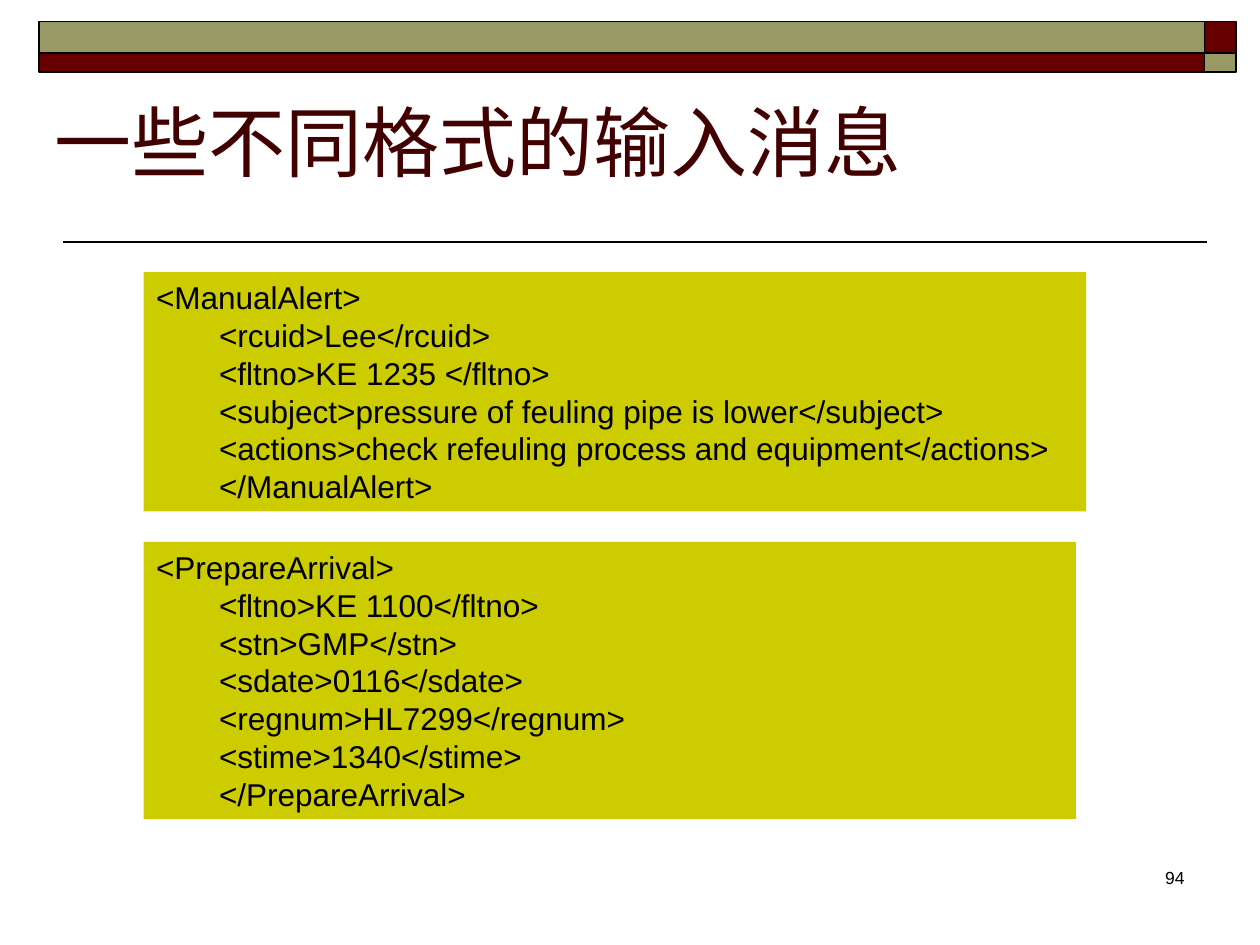
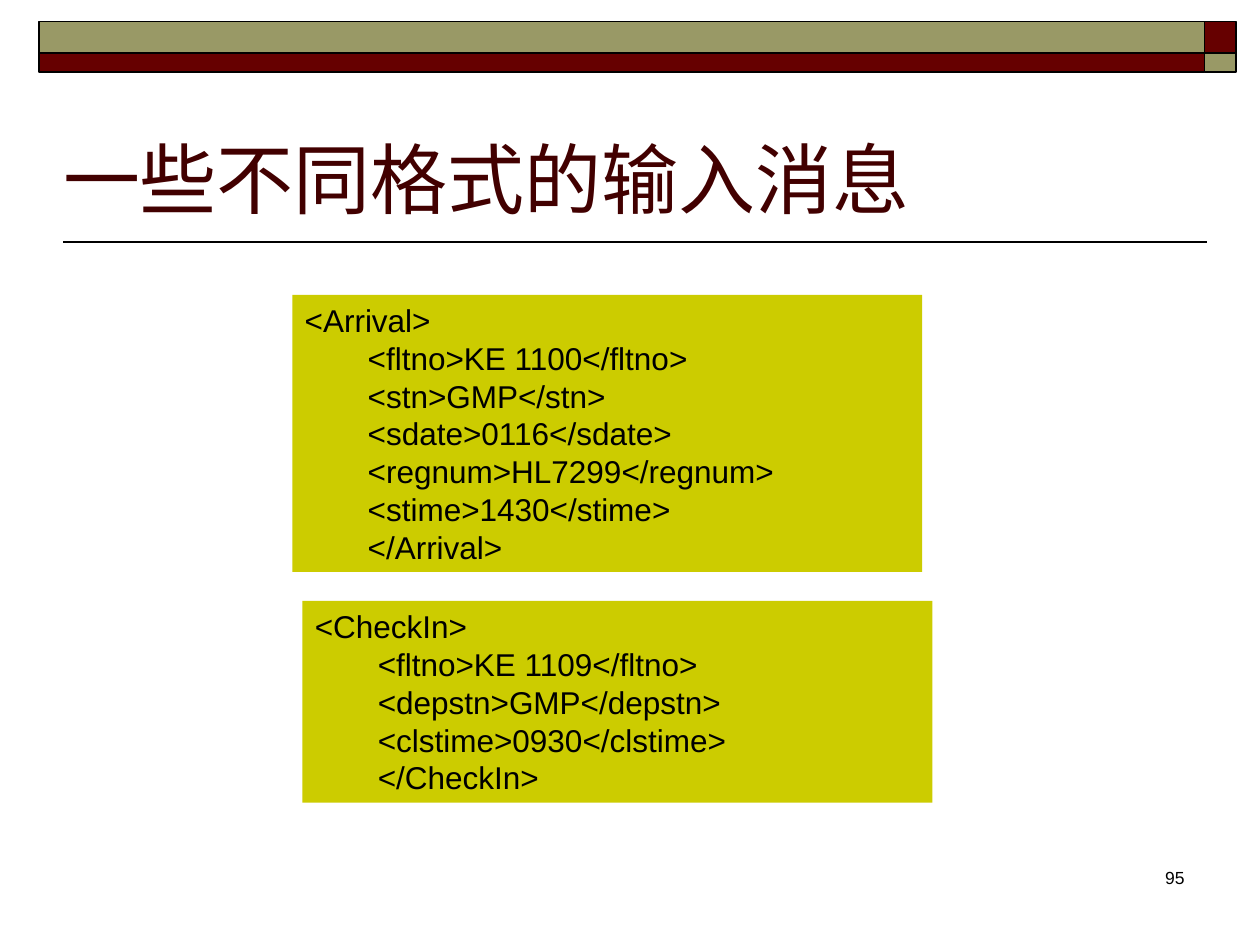
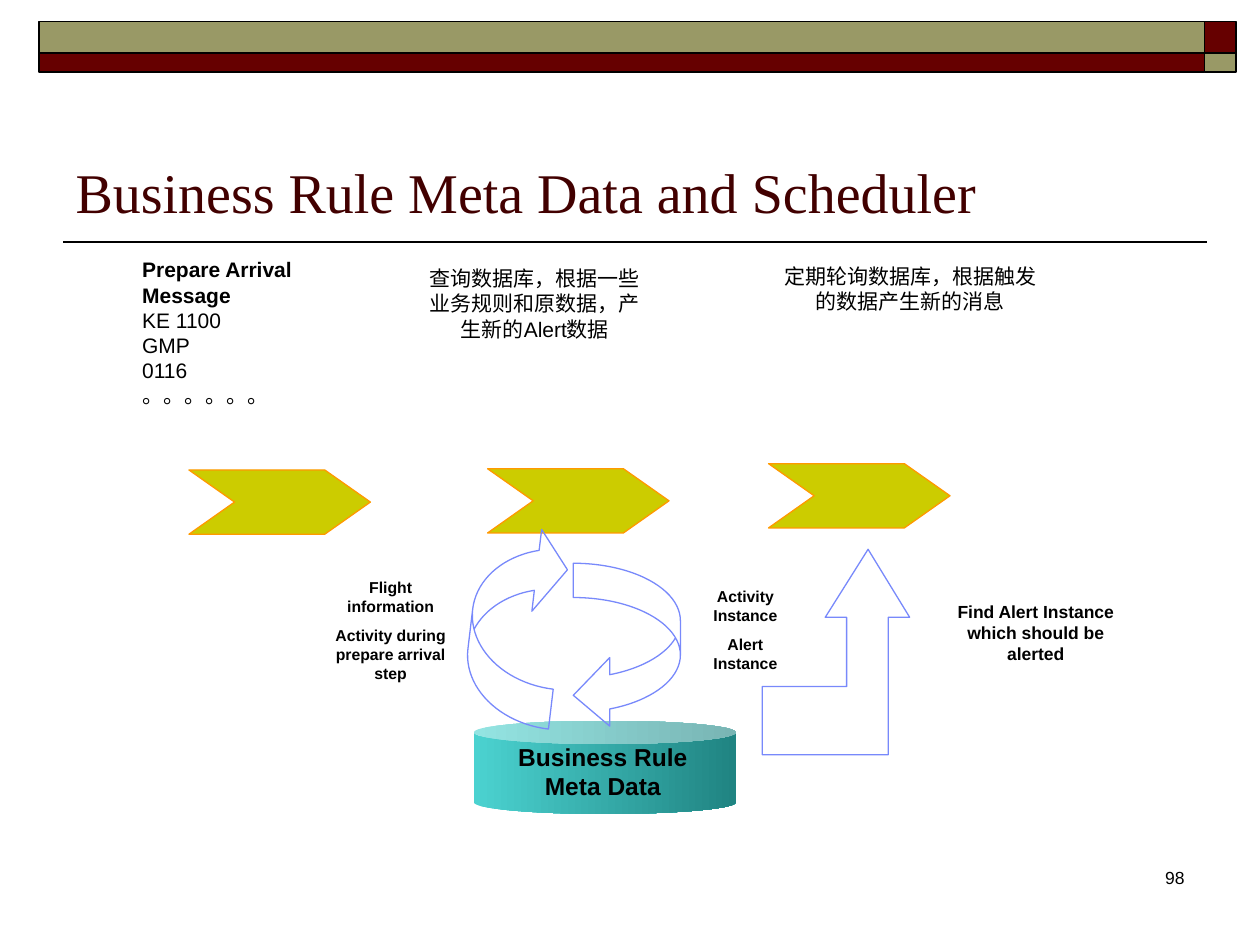
from lxml import etree
from pptx import Presentation
from pptx.dml.color import RGBColor
from pptx.enum.shapes import MSO_CONNECTOR, MSO_SHAPE
from pptx.enum.text import MSO_ANCHOR, MSO_AUTO_SIZE, PP_ALIGN
from pptx.oxml.ns import qn
from pptx.util import Pt

RECT, CAN = MSO_SHAPE.RECTANGLE, MSO_SHAPE.CAN
CHEVRON, CURVE = MSO_SHAPE.CHEVRON, MSO_SHAPE.CURVED_LEFT_ARROW
STRAIGHT = MSO_CONNECTOR.STRAIGHT
LEFT, MID, RIGHT = PP_ALIGN.LEFT, PP_ALIGN.CENTER, PP_ALIGN.RIGHT
TOP, BOTTOM = MSO_ANCHOR.TOP, MSO_ANCHOR.BOTTOM
FIXED = MSO_AUTO_SIZE.NONE

PX = 9144  # 100 px to the inch
BODY, HEAD = "Arial", "Times New Roman"
COLORS = {
    "ink": "000000", "title": "420000", "wine": "660000", "olive": "999966",
    "lime": "CCCC00", "orange": "FF9900", "blue": "7889FB",
    "aqua": "4BD2D0", "teal": "208482",
}


def emu(*sizes):
    return [size * PX for size in sizes]


def rgb(name):
    return RGBColor.from_string(COLORS[name])


class Deck:
    """Holds the shared style and the current slide."""

    def __init__(self):
        self.prs = Presentation()
        self.prs.slide_width, self.prs.slide_height = emu(1000, 750)

    def start(self, title, number, box, size=44, inset=0):
        self.slide = self.prs.slides.add_slide(self.prs.slide_layouts[5])
        self.shapes = self.slide.shapes
        self.frame()
        self.title(title, box, size, inset)
        self.text([str(number)], (742, 683, 208, 50), 10, align=RIGHT)

    def frame(self):
        # Two-tone band with swapped end blocks, and the title rule
        for top, high, long, end in ((17, 25, "olive", "wine"),
                                     (42, 15, "wine", "olive")):
            self.shape(RECT, (31, top, 925, high), long, "ink", 1)
            self.shape(RECT, (956, top, 25, high), end, "ink", 1)
        rule = self.shapes.add_connector(STRAIGHT, *emu(50, 192, 958, 192))
        rule.line.color.rgb = rgb("ink")
        rule.line.width = Pt(1)
        etree.SubElement(rule._element.spPr, qn("a:effectLst"))

    def title(self, words, box, size, inset):
        shape = self.shapes.title
        shape.left, shape.top, shape.width, shape.height = emu(*box)
        self.words(shape, [words], size, font=HEAD, color="title",
                   anchor=BOTTOM, inset=inset)

    def paint(self, shape, fill, line, width):
        shape.shadow.inherit = False
        if fill:
            shape.fill.solid()
            shape.fill.fore_color.rgb = rgb(fill)
        else:
            shape.fill.background()
        if line:
            shape.line.color.rgb = rgb(line)
            shape.line.width = Pt(width)
        else:
            shape.line.fill.background()
        return shape

    def shape(self, kind, box, fill=None, line=None, width=0.75, adj=()):
        shape = self.shapes.add_shape(kind, *emu(*box))
        for i, value in enumerate(adj):
            shape.adjustments[i] = value
        return self.paint(shape, fill, line, width)

    def outline(self, points, line):
        form = self.shapes.build_freeform(*points[0], scale=PX)
        form.add_line_segments(points[1:], close=True)
        return self.paint(form.convert_to_shape(), None, line, 0.75)

    def drum(self, box, start, end):
        drum = self.shape(CAN, box, adj=(0.25,))
        drum.fill.gradient()
        drum.fill.gradient_angle = 0
        for stop, name in zip(drum.fill.gradient_stops, (start, end)):
            stop.color.rgb = rgb(name)

    def text(self, lines, box, size, **style):
        self.words(self.shapes.add_textbox(*emu(*box)), lines, size, **style)

    def code(self, lines, box):
        panel = self.shape(RECT, box, "lime")
        self.words(panel, lines, 18)
        for para in panel.text_frame.paragraphs[1:]:
            props = para._p.get_or_add_pPr()
            props.set("marL", str(50 * PX))
            props.set("indent", "0")

    def words(self, shape, lines, size, bold=0, align=LEFT, gap=0,
              font=BODY, color="ink", anchor=TOP, inset=10):
        # bold counts the leading paragraphs set in bold
        frame = shape.text_frame
        frame.text = "\n".join(lines)
        frame.word_wrap = True
        frame.auto_size = FIXED
        frame.vertical_anchor = anchor
        frame.margin_left = frame.margin_right = inset * PX
        frame.margin_top = frame.margin_bottom = 5 * PX
        for i, para in enumerate(frame.paragraphs):
            para.alignment = align
            para.space_before = Pt(gap if i else 0)
            for run in para.runs:
                run.font.name = font
                run.font.size = Pt(size)
                run.font.bold = i < bold
                run.font.color.rgb = rgb(color)


def main():
    deck = Deck()
    inputs = "一些不同格式的输入消息"
    low = (50, 58, 900, 125)

    # Manual alert and prepare arrival
    deck.start(inputs, 94, (43, 28, 900, 125))
    deck.code(["<ManualAlert>", "<rcuid>Lee</rcuid>",
               "<fltno>KE 1235 </fltno>",
               "<subject>pressure of feuling pipe is lower</subject>",
               "<actions>check refeuling process and equipment</actions>",
               "</ManualAlert>"], (114, 216, 748, 190))
    deck.code(["<PrepareArrival>", "<fltno>KE 1100</fltno>",
               "<stn>GMP</stn>", "<sdate>0116</sdate>",
               "<regnum>HL7299</regnum>", "<stime>1340</stime>",
               "</PrepareArrival>"], (114, 430, 740, 220))

    # Arrival and check-in
    deck.start(inputs, 95, low)
    deck.code(["<Arrival>", "<fltno>KE 1100</fltno>", "<stn>GMP</stn>",
               "<sdate>0116</sdate>", "<regnum>HL7299</regnum>",
               "<stime>1430</stime>", "</Arrival>"], (232, 234, 500, 220))
    deck.code(["<CheckIn>", "<fltno>KE 1109</fltno>",
               "<depstn>GMP</depstn>", "<clstime>0930</clstime>",
               "</CheckIn>"], (240, 477, 500, 160))

    # Rule data and scheduler flow
    deck.start("Business Rule Meta Data and Scheduler", 98, low, 32, 10)
    deck.drum((376, 572, 208, 74), "aqua", "teal")
    deck.text(["Business Rule Meta Data"], (397, 584, 163, 57), 14,
              bold=1, align=MID)
    for left, top in ((150, 373), (387, 372), (610, 368)):
        deck.shape(CHEVRON, (left, top, 144, 51), "lime", "orange",
                   adj=(0.71,))

    # Cycle between the flow and the rule data
    back = deck.shape(CURVE, (374, 415, 71, 160), None, "blue",
                      adj=(0.45, 0.92, 0.34))
    back.rotation = 186.8
    deck.shape(CURVE, (455, 447, 85, 132), None, "blue",
               adj=(0.32, 0.64, 0.34))
    deck.outline([(689, 436), (655, 490), (672, 490), (672, 545),
                  (605, 545), (605, 599), (705, 599), (705, 490),
                  (722, 490)], "blue")

    # Step notes
    deck.text(["Prepare Arrival Message", "KE 1100", "GMP", "0116",
               "。。。。。。"], (103, 199, 189, 130), 12, bold=1)
    deck.text(["查询数据库，根据一些业务规则和原数据，产生新的Alert数据"],
              (325, 206, 199, 70), 12, align=MID)
    deck.text(["定期轮询数据库，根据触发 的数据产生新的消息"],
              (605, 204, 235, 50), 12, align=MID)

    # Arrow labels
    deck.text(["Flight information", "Activity during prepare arrival step"],
              (253, 454, 114, 116), 9, bold=2, align=MID, gap=5.6)
    deck.text(["Activity Instance", "Alert Instance"],
              (554, 461, 75, 78), 9, bold=2, align=MID, gap=5.6)
    deck.text(["Find Alert Instance which should be alerted"],
              (744, 472, 156, 60), 10, bold=1, align=MID)

    deck.prs.save("out.pptx")


if __name__ == "__main__":
    main()
